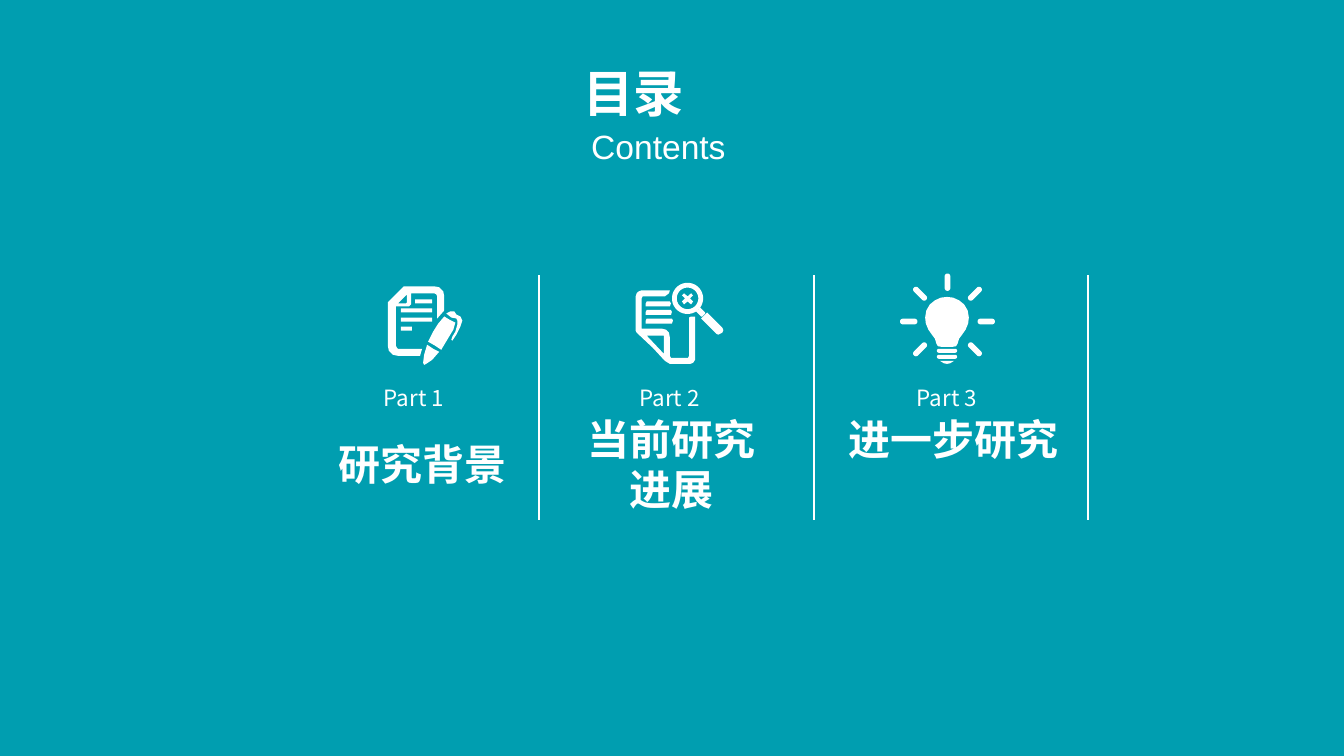
from math import copysign, cos, pi, radians, sin
from lxml.etree import SubElement
from pptx import Presentation
from pptx.dml.color import RGBColor
from pptx.enum.shapes import MSO_CONNECTOR as Link
from pptx.enum.text import MSO_ANCHOR as Anchor, MSO_AUTO_SIZE as Fit, PP_ALIGN as Align
from pptx.oxml.ns import qn
from pptx.util import Inches, Pt

TEAL = RGBColor(0x00, 0x9E, 0xB0)
WHITE = RGBColor(0xFF, 0xFF, 0xFF)
NOTO = "Noto Sans CJK SC"

deck = Presentation()
deck.slide_width, deck.slide_height = Inches(13.34), Inches(7.5)
slide = deck.slides.add_slide(deck.slide_layouts[5])
shapes = slide.shapes
slide.background.fill.solid()
slide.background.fill.fore_color.rgb = TEAL


def write(text, at, size, box=None, face=NOTO, bold=False, align=Align.CENTER,
          anchor=Anchor.TOP, wrap=True, inset=(0.1, 0.05)):
    spot = [Inches(n) for n in at]
    box = box or shapes.add_textbox(*spot)
    box.left, box.top, box.width, box.height = spot
    frame = box.text_frame
    frame.word_wrap, frame.auto_size = wrap, Fit.NONE
    frame.vertical_anchor = anchor
    frame.margin_left = frame.margin_right = Inches(inset[0])
    frame.margin_top = frame.margin_bottom = Inches(inset[1])
    para = frame.paragraphs[0]
    para.alignment = align
    run = para.add_run()
    run.text = text
    font = run.font
    font.name, font.size, font.bold = face, Pt(size), bold
    font.color.rgb = WHITE
    SubElement(run._r.get_or_add_rPr(), qn("a:ea"), typeface=NOTO)


def pill(x, y, radius, reach=0, turn=0):
    points = []
    for step in range(32):
        angle = 2 * pi * (step + 0.5) / 32
        dx = radius * cos(angle) + copysign(reach, cos(angle))
        dy = radius * sin(angle)
        points.append((x + dx * cos(turn) - dy * sin(turn),
                       y + dx * sin(turn) + dy * cos(turn)))
    return points


for x in (5.35, 8.08, 10.8):
    rule = shapes.add_connector(Link.STRAIGHT, Inches(x), Inches(2.73), Inches(x), Inches(5.16))
    rule.line.color.rgb = WHITE
    rule.line.width = Pt(1)
    SubElement(rule._element.spPr, qn("a:effectLst"))

half = [(940, 294.6), (934, 295.3), (928, 298), (923, 302), (919.5, 308), (918.3, 315),
        (919, 321), (921.5, 327), (925, 332), (928, 336), (929.5, 341), (931, 343.5),
        (935, 344.2)]
bulb = [half + [(1880 - x, y) for x, y in reversed(half)],
        pill(940, 348, 2, 8), pill(940, 354, 2, 8),
        [(933, 358), (947, 358), (943, 360.5), (940, 361), (937, 360.5)]]
bulb += [pill(940.5 + 38.5 * cos(radians(a)), 319 + 39 * sin(radians(a)), 2.8, 5.8, radians(a))
         for a in (0, 45, 135, 180, 225, 270, 315)]

search = [
    [(631, 294), (632, 291), (634, 289), (637, 288), (665, 288), (664, 291), (660, 294),
     (638, 294), (637, 296), (637, 326), (657, 326), (661, 327), (664, 330), (665, 335),
     (665, 353), (666, 355), (683, 355), (684, 353), (684, 315), (686, 314), (690, 314),
     (690, 357), (688, 360), (685, 361), (665, 361), (660, 358), (648, 345), (632, 330),
     (631, 328)],
    [(659, 351), (659, 333), (642, 333)],
    pill(682.5, 296, 15.5), pill(682.5, 296, 10.7),
    [(680, 296), (677, 293), (679, 291), (682.5, 294), (686, 291), (688, 293),
     (685, 296), (688, 299), (686, 302), (682.5, 299), (679, 302), (677, 299)],
    [(695, 305), (700, 310), (700, 311), (697, 314), (696, 314), (691, 309), (694, 307)],
    [(702, 310), (717, 325), (718, 327.5), (717, 330), (715, 331), (713, 332),
     (711, 331), (696, 316)],
]
search += [[(641, y), (end, y), (end + 1, y - 3), (end, y - 5), (642, y - 5), (641, y - 3)]
           for y, end in ((304, 665), (312.5, 666), (321, 667))]

notes = [
    [(401, 284), (431, 284), (436, 285), (440, 289), (441, 294), (441, 308), (434, 316),
     (434, 294), (433, 292), (431, 291), (408, 291), (408, 302), (406, 304), (393, 304),
     (393, 343), (394, 345), (395, 346), (419, 346), (417, 353), (395, 353), (390, 352),
     (386, 348), (385, 343), (385, 300)],
    [(443, 311), (447, 309), (451, 309), (453, 312), (457, 314), (459, 318),
     (457, 324), (453, 332), (449, 338), (448, 337), (449, 334), (452, 329), (454, 322),
     (454, 318), (453, 316), (448, 315)],
    [(441, 314), (446, 317), (452, 320), (450, 327), (444, 337), (438, 347), (432, 343),
     (425, 339), (430, 329), (435, 321)],
    [(436, 349), (429, 357), (423, 361), (421, 362), (420, 360), (421, 352), (424, 342),
     (430, 346)],
    [(395, 301), (403, 301), (404, 300), (404, 292)],
]
notes += [[(x, y), (end, y), (end, y + 4), (x, y + 4)]
          for x, y, end in ((412, 297, 429), (398, 306, 429), (398, 315, 429), (398, 324, 409))]

for icon in (bulb, search, notes):
    parts = [[(Inches(x / 100), Inches(y / 100)) for x, y in part] for part in icon]
    pen = shapes.build_freeform(*parts[0][0])
    pen.add_line_segments(parts[0][1:], close=True)
    for dots in parts[1:]:
        pen.move_to(*dots[0])
        pen.add_line_segments(dots[1:], close=True)
    form = pen.convert_to_shape()
    form.shadow.inherit = False
    form.fill.solid()
    form.fill.fore_color.rgb = WHITE
    form.line.fill.background()

for num, left, name, spot in (
        (1, 3.81, "研究背景", (3.13, 4.3, 2.13, 0.61)),
        (2, 6.35, "当前研究进展", (5.6, 4.05, 2.13, 1.11)),
        (3, 9.1, "进一步研究", (8.32, 4.05, 2.29, 0.61))):
    write(f"Part {num}", (left, 3.81, 0.63, 0.27), 16, align=Align.LEFT, wrap=False, inset=(0, 0))
    write(name, spot, 30, bold=True)

write("目录", (5.69, 0.59, 1.68, 0.66), 36, box=shapes.title, face="Arial", bold=True,
      align=Align.JUSTIFY, anchor=Anchor.MIDDLE)
write("Contents", (5.61, 1.2, 1.85, 0.51), 24, face="Arial")
deck.save("out.pptx")
